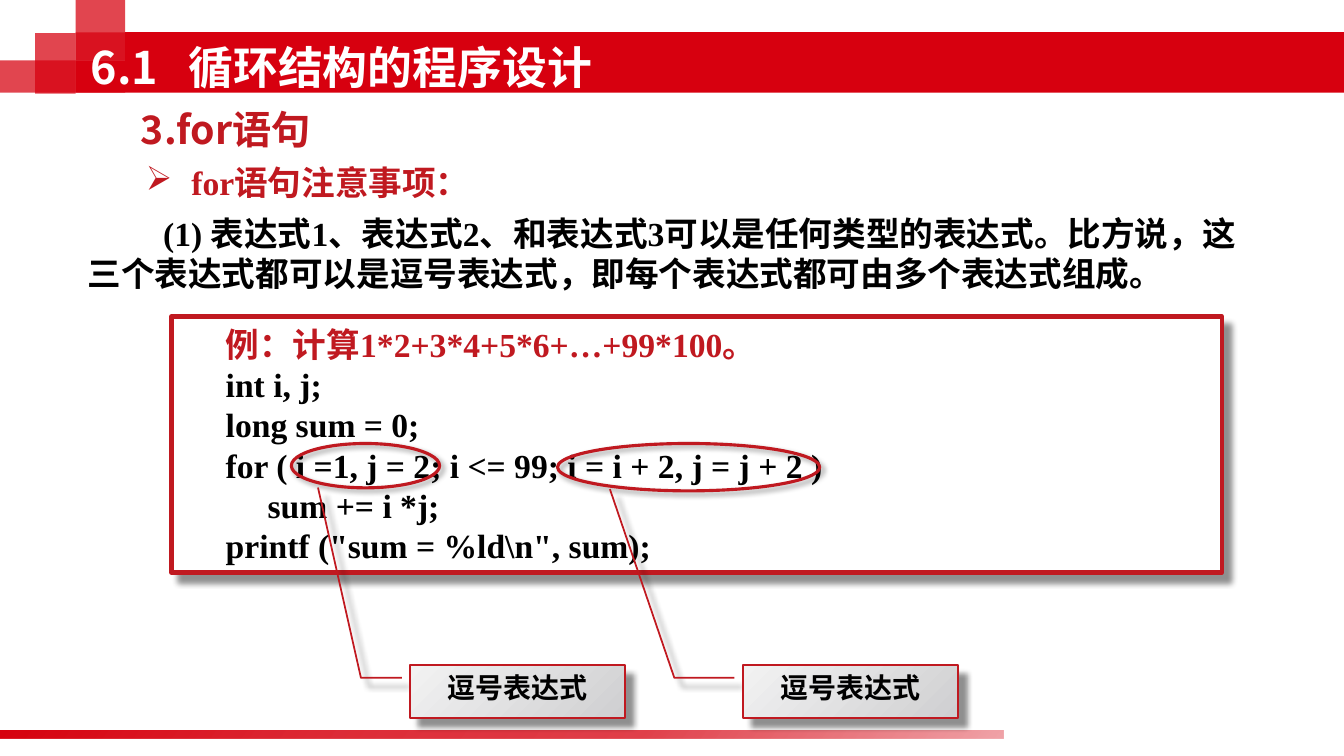
from lxml.etree import SubElement
from pptx import Presentation
from pptx.dml.color import RGBColor
from pptx.enum.shapes import MSO_SHAPE
from pptx.enum.text import MSO_ANCHOR, PP_ALIGN
from pptx.oxml.ns import qn
from pptx.util import Inches, Pt

BAND_RED = RGBColor(0xD7, 0x00, 0x0F)
ACCENT_RED = RGBColor(0xC0, 0x19, 0x20)
WHITE = RGBColor(0xFF, 0xFF, 0xFF)
BLACK = RGBColor(0x00, 0x00, 0x00)
SILVER = RGBColor(0xCF, 0xCF, 0xD1)
PALE_GRAY = RGBColor(0xF2, 0xF2, 0xF2)

SANS = "Noto Sans CJK SC"
SERIF = "Times New Roman"

CODE_LINES = [
    "例：计算1*2+3*4+5*6+…+99*100。",
    "int i, j;",
    "long sum = 0;",
    "for ( i =1, j = 2; i <= 99; i = i + 2, j = j + 2 )",
    "     sum += i *j;",
    'printf ("sum = %ld\\n", sum);',
]


def add_color(parent, color, alpha=100):
    node = SubElement(parent, qn("a:srgbClr"), val=str(color))
    if alpha < 100:
        SubElement(node, qn("a:alpha"), val=str(alpha * 1000))


def set_gradient(shape, stops, angle):
    properties = shape.element.spPr
    gradient = SubElement(properties, qn("a:gradFill"), rotWithShape="1")
    stop_list = SubElement(gradient, qn("a:gsLst"))
    for position, color, alpha in stops:
        stop = SubElement(stop_list, qn("a:gs"), pos=str(position * 1000))
        add_color(stop, color, alpha)
    SubElement(gradient, qn("a:lin"), ang=str(angle * 60000), scaled="0")
    properties.find(qn("a:prstGeom")).addnext(gradient)


def set_shadow(shape, alpha, distance):
    effects = shape.element.spPr.find(qn("a:effectLst"))
    shadow = SubElement(effects, qn("a:outerShdw"), blurRad=str(Pt(4)),
                        dist=str(Pt(distance)), dir=str(45 * 60000),
                        algn="tl", rotWithShape="0")
    add_color(shadow, BLACK, alpha)


def add_figure(slide, kind, place, fill=None, alpha=100, line_width=None):
    shape = slide.shapes.add_shape(kind, *map(Inches, place))
    shape.shadow.inherit = False
    if fill is None:
        shape.fill.background()
    else:
        shape.fill.solid()
        shape.fill.fore_color.rgb = fill
        if alpha < 100:
            color = shape.element.spPr.find(".//" + qn("a:srgbClr"))
            SubElement(color, qn("a:alpha"), val=str(alpha * 1000))
    if line_width is None:
        shape.line.fill.background()
    else:
        shape.line.color.rgb = ACCENT_RED
        shape.line.width = Pt(line_width)
    return shape


def format_paragraph(para, size, font, color, align=PP_ALIGN.LEFT):
    para.alignment = align
    for span in para.runs:
        span.font.size = Pt(size)
        span.font.name = font
        span.font.bold = True
        span.font.color.rgb = color
        SubElement(span.font._element, qn("a:ea"), typeface=SANS)


def set_indent(para, first_line, left=0):
    properties = para._p.get_or_add_pPr()
    properties.set("marL", str(Inches(left)))
    properties.set("indent", str(Inches(first_line)))
    return properties


def add_text(slide, place, text, anchor=MSO_ANCHOR.MIDDLE):
    box = slide.shapes.add_textbox(*map(Inches, place))
    frame = box.text_frame
    frame.word_wrap = True
    frame.vertical_anchor = anchor
    frame.text = text
    return frame.paragraphs[0]


def add_header(slide):
    # Translucent squares and the red band
    for place in [(0, 0.6, 1.24, 0.32), (0.35, 0.33, 0.4, 0.6),
                  (0.75, -0.02, 0.49, 0.62), (0.75, 0.32, 0.49, 0.28)]:
        add_figure(slide, MSO_SHAPE.RECTANGLE, place, BAND_RED, 73)
    for place in [(1.24, 0.32, 12.09, 0.6), (0.75, 0.6, 0.49, 0.32)]:
        add_figure(slide, MSO_SHAPE.RECTANGLE, place, BAND_RED)

    # Title, in front of the band
    title = slide.shapes.title
    title.element.getparent().append(title.element)
    title.left, title.top = Inches(0.8), Inches(0.33)
    title.width, title.height = Inches(8.9), Inches(0.67)
    frame = title.text_frame
    frame.vertical_anchor = MSO_ANCHOR.MIDDLE
    frame.text = "6.1\t循环结构的程序设计"
    para = frame.paragraphs[0]
    tabs = SubElement(para._p.get_or_add_pPr(), qn("a:tabLst"))
    SubElement(tabs, qn("a:tab"), pos=str(Inches(0.97)), algn="l")
    format_paragraph(para, 32, SANS, WHITE)


def add_footer_bar(slide):
    bar = add_figure(slide, MSO_SHAPE.RECTANGLE, (-0.02, 7.25, 9.97, 0.08))
    bar.element.spPr.remove(bar.element.spPr.find(qn("a:noFill")))
    stops = [(0, 100), (31, 84), (64, 75), (100, 36)]
    set_gradient(bar, [(pos, BAND_RED, alpha) for pos, alpha in stops], 40)


def add_code_box(slide):
    box = add_figure(slide, MSO_SHAPE.RECTANGLE, (1.7, 3.14, 10.42, 2.54),
                     WHITE, line_width=3)
    set_shadow(box, 43, 8.4)
    frame = box.text_frame
    frame.vertical_anchor = MSO_ANCHOR.MIDDLE
    frame.text = "\n".join(CODE_LINES)
    for index, para in enumerate(frame.paragraphs):
        set_indent(para, 0.44)
        para.line_spacing = Pt(28.8)
        format_paragraph(para, 24, SERIF, BLACK if index else ACCENT_RED)


def add_ellipse(slide, place):
    ellipse = add_figure(slide, MSO_SHAPE.OVAL, place, line_width=2.25)
    set_shadow(ellipse, 40, 3)


def add_callout(slide, left, leader):
    callout = add_figure(slide, MSO_SHAPE.LINE_CALLOUT_2,
                         (left, 6.6, 2.13, 0.52), line_width=1.25)
    callout.element.spPr.remove(callout.element.spPr.find(qn("a:noFill")))
    set_gradient(callout, [(0, SILVER, 100), (100, PALE_GRAY, 100)], 225)
    set_shadow(callout, 43, 8.4)
    for index, value in enumerate(leader):
        callout.adjustments[index] = value
    frame = callout.text_frame
    frame.vertical_anchor = MSO_ANCHOR.TOP
    frame.text = "逗号表达式"
    format_paragraph(frame.paragraphs[0], 20, SANS, BLACK, PP_ALIGN.CENTER)


def main():
    deck = Presentation()
    deck.slide_width, deck.slide_height = Inches(13.33), Inches(7.5)
    slide = deck.slides.add_slide(deck.slide_layouts[5])

    add_header(slide)
    add_footer_bar(slide)

    # Headings
    section = add_text(slide, (1.3, 0.99, 3.7, 0.57), "3.for语句")
    format_paragraph(section, 28, SANS, ACCENT_RED)
    notes = add_text(slide, (1.35, 1.56, 4.96, 0.5), "for语句注意事项：")
    properties = set_indent(notes, -0.45, 0.45)
    SubElement(properties, qn("a:buChar"), char="➢")
    format_paragraph(notes, 24, SERIF, ACCENT_RED)

    # Example code and the rule it illustrates
    add_code_box(slide)
    rule = add_text(
        slide, (0.77, 2.06, 11.73, 0.91),
        "(1) 表达式1、表达式2、和表达式3可以是任何类型的表达式。比方说，"
        "这三个表达式都可以是逗号表达式，即每个表达式都可由多个表达式组成。",
        MSO_ANCHOR.TOP)
    set_indent(rule, 0.75)
    rule.line_spacing = Pt(28.8)
    format_paragraph(rule, 24, SERIF, BLACK)

    # Circled comma expressions and their callouts
    add_ellipse(slide, (2.89, 4.4, 1.47, 0.44))
    add_ellipse(slide, (5.53, 4.4, 2.6, 0.47))
    add_callout(slide, 4.07, (0.24, -0.04, 0.24, -0.23, -3.39, -0.43))
    add_callout(slide, 7.37, (0.24, -0.04, 0.24, -0.32, -3.36, -0.62))

    deck.save("out.pptx")


if __name__ == "__main__":
    main()
